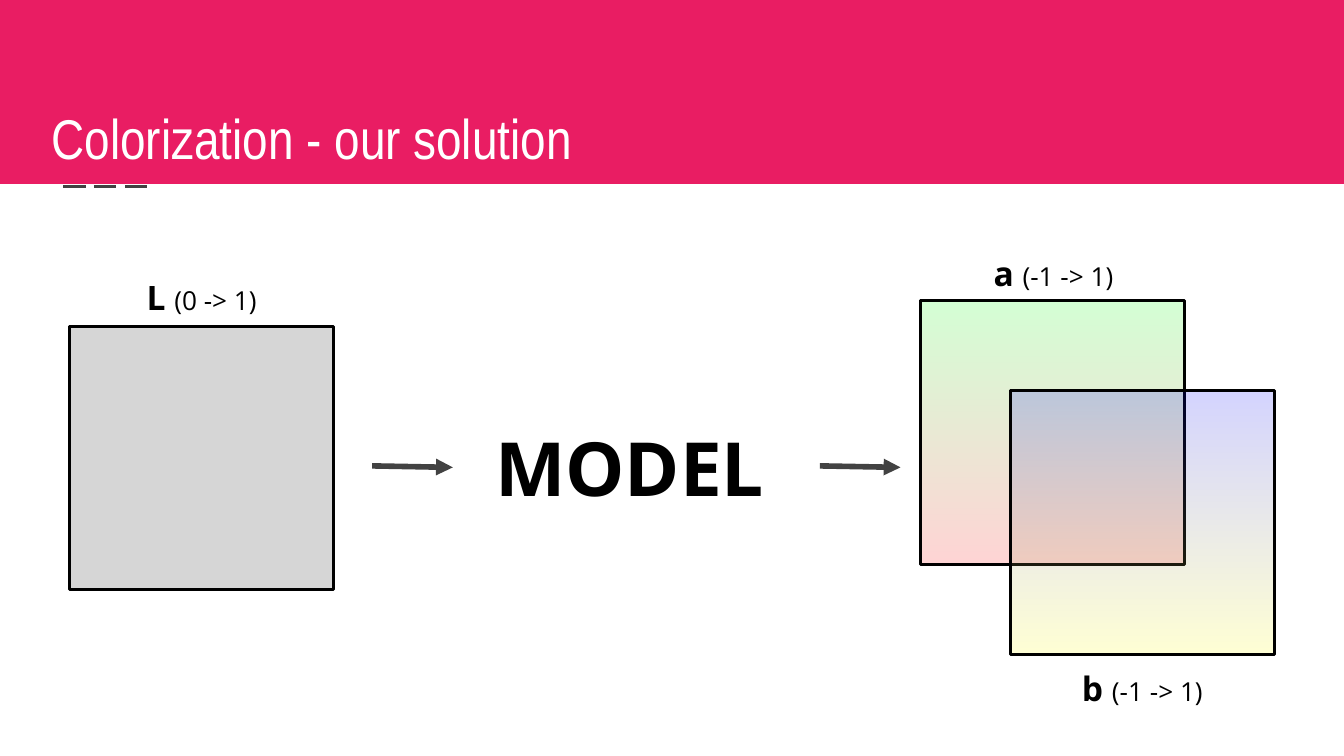
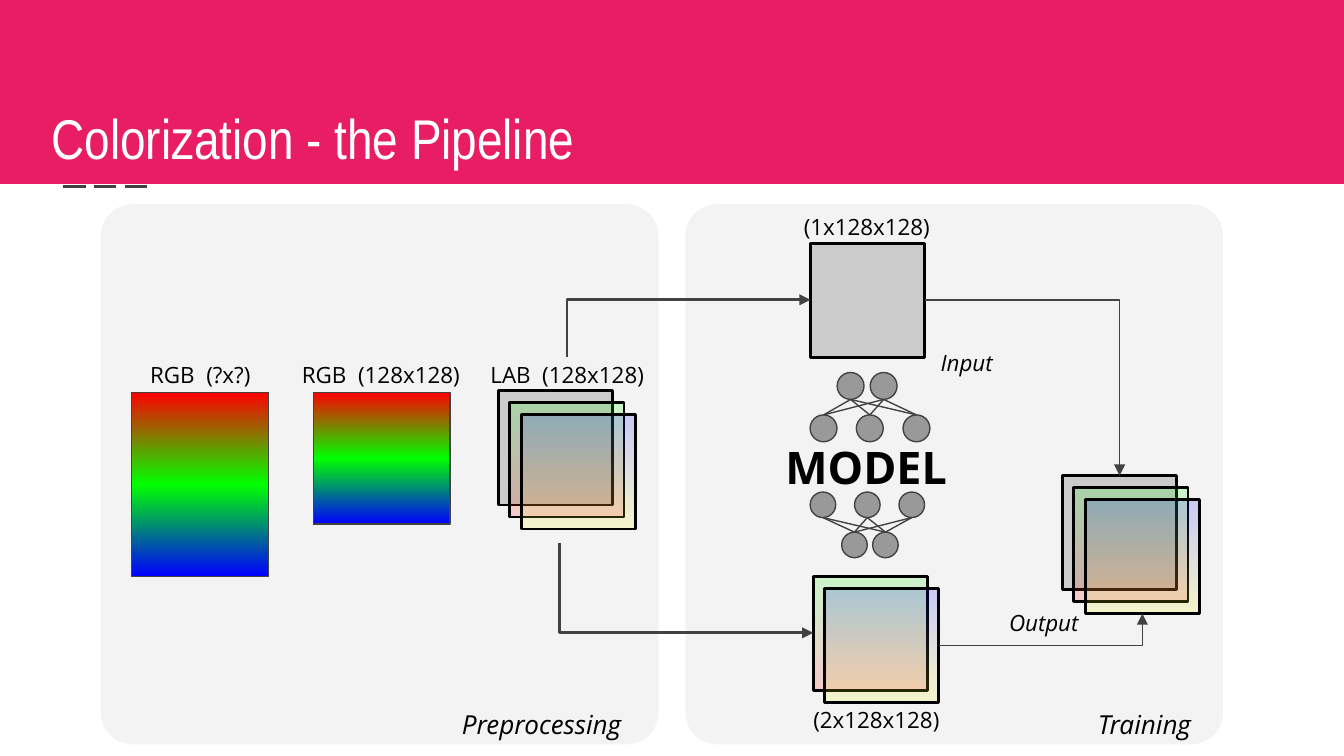
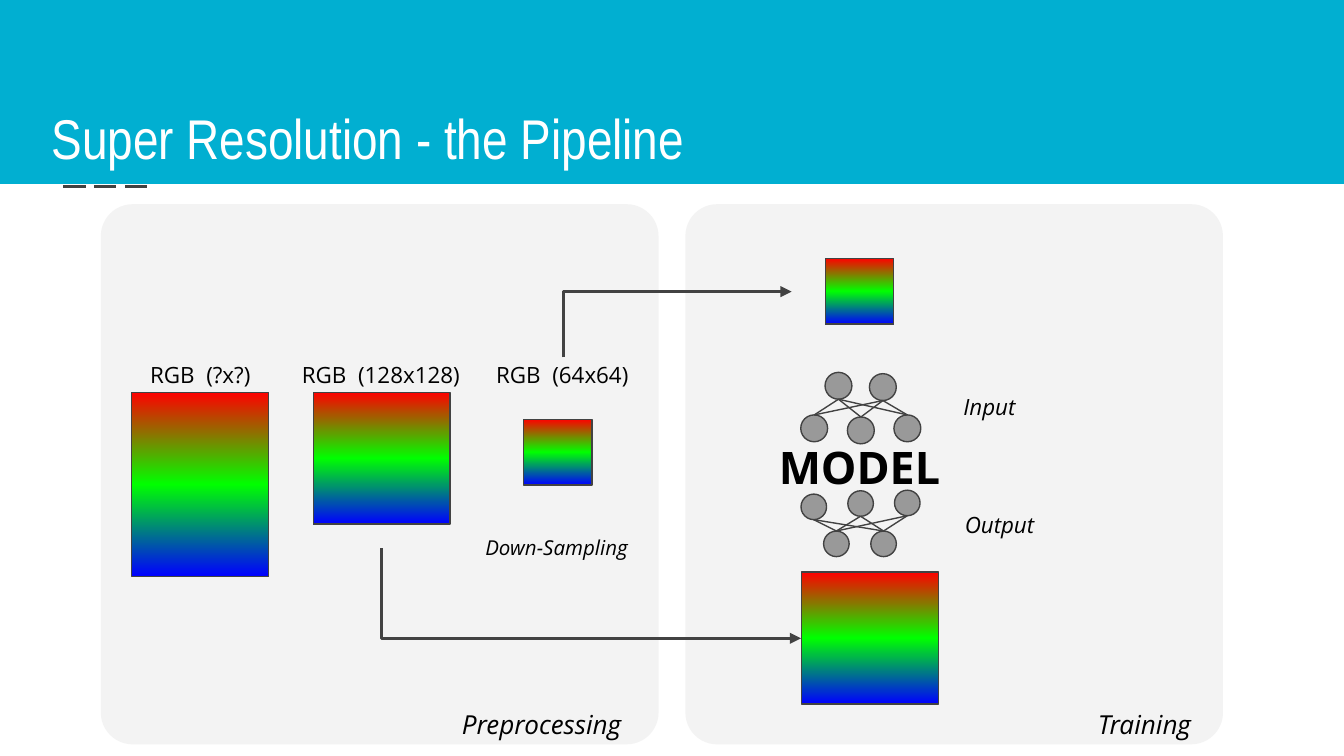
from itertools import product

from lxml import etree
from pptx import Presentation
from pptx.dml.color import RGBColor
from pptx.enum.dml import MSO_LINE
from pptx.enum.shapes import MSO_CONNECTOR, MSO_SHAPE
from pptx.enum.text import MSO_ANCHOR, MSO_AUTO_SIZE, PP_ALIGN
from pptx.oxml.ns import qn
from pptx.util import Pt

STRAIGHT, ELBOW = MSO_CONNECTOR.STRAIGHT, MSO_CONNECTOR.ELBOW
RECTANGLE, ROUNDED, OVAL = MSO_SHAPE.RECTANGLE, MSO_SHAPE.ROUNDED_RECTANGLE, MSO_SHAPE.OVAL
LEFT, CENTER, RIGHT = PP_ALIGN.LEFT, PP_ALIGN.CENTER, PP_ALIGN.RIGHT
TOP, MIDDLE, BOTTOM = MSO_ANCHOR.TOP, MSO_ANCHOR.MIDDLE, MSO_ANCHOR.BOTTOM
LONG_DASH, NO_AUTOFIT = MSO_LINE.LONG_DASH, MSO_AUTO_SIZE.NONE

PINK, BLUE, WHITE, BLACK = "E91D63", "01AFD1", "FFFFFF", "000000"
INK, NODE, PANEL = "424242", "999999", "F3F3F3"
TITLE_FONT, BODY_FONT = "Arial Narrow", "Open Sans"

RAINBOW = ["FF0000", "00FF00", "0000FF"]
CHANNELS = {"L": [BLACK], "a": ["00FF00", "FF0000"], "b": ["0000FF", "FFFF00"]}
CHANNEL_OPACITY = 16
CHANNEL_SIDE, CHANNEL_STEP = 61.2, (6.1, 6.4)

HEADING = dict(size=18, bold=True, anchor=TOP)
CAPTION = dict(size=12)
ROLE = dict(size=12, italic=True, align=LEFT)
STAGE = dict(size=14, italic=True, align=RIGHT)
MODEL = dict(size=24, bold=True)

PANELS = [(54, 109.4, 298.8, 289.4), (367.2, 109.4, 288, 289.4)]
SOURCE_IMAGE = (70.6, 210.2, 73.4, 98.6)
RESIZED_IMAGE = (167.8, 210.2, 73.4, 70.6)
PIPELINE_LABELS = [
    ("RGB  (?x?)", (70.6, 191.5, 73.4, 18), CAPTION),
    ("RGB  (128x128)", (152.6, 191.5, 103, 18), CAPTION),
    ("Training", (554.4, 376.6, 90.7, 22.3), STAGE),
    ("Preprocessing", (236.9, 376.6, 103, 22.3), STAGE),
]

SOLUTION = dict(
    title="Colorization - our solution",
    color=PINK,
    stacks=[
        ("L", 37.3, 174.8, 141.2, (0, 0)),
        ("ab", 493.2, 161.1, 141.2, (48.2, 48.2)),
    ],
    arrows=[(199.4, 249.6, 242.6, 250.4), (439.2, 249.6, 482.4, 250.4)],
    labels=[
        ("MODEL", (252.7, 222.5, 169.2, 54.7), dict(size=40, bold=True)),
        ("L ", (38.2, 141.1, 139.7, 33.1), dict(HEADING, note="(0 -> 1)")),
        ("a ", (494.6, 128.2, 139.7, 33.1), dict(HEADING, note="(-1 -> 1)")),
        ("b ", (542.2, 350.6, 139.7, 33.1), dict(HEADING, note="(-1 -> 1)")),
    ],
)

COLORIZATION = dict(
    title="Colorization - the Pipeline",
    color=PINK,
    panels=PANELS,
    images=[SOURCE_IMAGE, RESIZED_IMAGE],
    stacks=[
        ("Lab", 267, 209.4, CHANNEL_SIDE, CHANNEL_STEP),
        ("L", 434.2, 130.3, CHANNEL_SIDE, CHANNEL_STEP),
        ("ab", 435.6, 308.8, CHANNEL_SIDE, CHANNEL_STEP),
        ("Lab", 569.2, 254.8, CHANNEL_SIDE, CHANNEL_STEP),
    ],
    networks=[
        (14.4, [(448.5, 199.6), (466.2, 199.6)],
         [(434, 222.3), (458.8, 222.3), (483.8, 222.3)]),
        (13.7, [(434, 263.6), (457.8, 263.6), (481.6, 263.6)],
         [(450.9, 285.1), (467.5, 285.1)]),
    ],
    risers=[(303.8, 191.5, 434.2, 160.6), (299.5, 290.9, 435.6, 339.1)],
    returns=[(502.9, 345.8, 612, 328.8), (495.4, 160.8, 599.8, 254.8)],
    labels=PIPELINE_LABELS + [
        ("LAB  (128x128)", (254.2, 191.5, 99.4, 18), CAPTION),
        ("MODEL", (409.7, 239, 108.7, 22.3), MODEL),
        ("(1x128x128)", (414.7, 112.3, 99.4, 18), CAPTION),
        ("(2x128x128)", (419.8, 376.6, 99.4, 18), CAPTION),
        ("Input", (496.8, 183.2, 90.7, 22.3), ROLE),
        ("Output", (533.5, 322.2, 90.7, 22.3), ROLE),
    ],
)

SUPER_RESOLUTION = dict(
    title="Super Resolution - the Pipeline",
    color=BLUE,
    panels=PANELS,
    images=[
        SOURCE_IMAGE,
        RESIZED_IMAGE,
        (280.5, 224.6, 36.7, 35.3),
        (429.3, 306.5, 73.4, 70.6),
        (442.1, 138.4, 36.7, 35.3),
    ],
    networks=[
        (14.4, [(442, 199.5), (465.8, 200.2)],
         [(429, 222.3), (454, 223.4), (478.9, 222.3)]),
        (13.7, [(429.1, 264.7), (454.2, 262.9), (479.2, 262.6)],
         [(441.2, 284.5), (466.5, 284.5)]),
    ],
    risers=[(301.7, 191.5, 424.1, 156.2), (204.5, 293.8, 429.1, 342)],
    labels=PIPELINE_LABELS + [
        ("RGB  (64x64)", (249.8, 191.5, 103, 18), CAPTION),
        ("MODEL", (406.1, 239, 108.7, 22.3), MODEL),
        ("Input", (509, 206.8, 90.7, 22.3), ROLE),
        ("Output", (509.8, 270, 90.7, 22.3), ROLE),
        ("Down-Sampling", (241.9, 282.2, 101.5, 22.3), dict(size=11, italic=True, align=RIGHT)),
    ],
)


def rgb(value):
    return RGBColor.from_string(value)


def points(values):
    return [Pt(value) for value in values]


def write_text(frame, text, size=12, font=BODY_FONT, color=BLACK, bold=False,
               italic=False, align=CENTER, anchor=MIDDLE, left_inset=7.2, note=""):
    frame.word_wrap = True
    frame.auto_size = NO_AUTOFIT
    frame.vertical_anchor = anchor
    frame.margin_left = Pt(left_inset)
    frame.margin_top = frame.margin_right = frame.margin_bottom = Pt(7.2)
    para = frame.paragraphs[0]
    para.alignment = align
    for content, points_high, heavy in [(text, size, bold), (note, 14, False)]:
        if content:
            span = para.add_run()
            span.text = content
            span.font.name = font
            span.font.size = Pt(points_high)
            span.font.bold = heavy
            span.font.italic = italic
            span.font.color.rgb = rgb(color)


def fill_shape(shape, colors, opacity=100):
    if len(colors) == 1:
        shape.fill.solid()
        shape.fill.fore_color.rgb = rgb(colors[0])
    else:
        shape.fill.gradient()
        shape.fill.gradient_angle = 270
        stops = shape._element.spPr.find(".//" + qn("a:gsLst"))
        for stop in list(stops):
            stops.remove(stop)
        for index, color in enumerate(colors):
            position = 100000 * index // (len(colors) - 1)
            stop = etree.SubElement(stops, qn("a:gs"), pos=str(position))
            etree.SubElement(stop, qn("a:srgbClr"), val=color)
    if opacity < 100:
        fill = shape._element.spPr.find(qn("a:solidFill"))
        if fill is None:
            fill = shape._element.spPr.find(qn("a:gradFill"))
        for tint in fill.iter(qn("a:srgbClr")):
            etree.SubElement(tint, qn("a:alpha"), val=str(opacity * 1000))


def add_box(page, kind, box, colors, opacity=100, line=None, width=0.75):
    shape = page.shapes.add_shape(kind, *points(box))
    shape.shadow.inherit = False
    fill_shape(shape, colors, opacity)
    if line:
        shape.line.color.rgb = rgb(line)
        shape.line.width = Pt(width)
    else:
        shape.line.fill.background()
    return shape


def add_line(page, ends, kind=STRAIGHT, width=0.75, arrow=False, dash=None):
    connector = page.shapes.add_connector(kind, *points(ends))
    connector.line.color.rgb = rgb(INK)
    connector.line.width = Pt(width)
    if dash:
        connector.line.dash_style = dash
    properties = connector._element.spPr
    if arrow:
        etree.SubElement(properties.find(qn("a:ln")), qn("a:tailEnd"), type="triangle")
    if kind == ELBOW:
        properties.find(qn("a:prstGeom")).set("prst", "bentConnector2")
    etree.SubElement(properties, qn("a:effectLst"))
    return connector


def add_riser(page, ends):
    x1, y1, x2, y2 = ends
    across, along = x2 - x1, abs(y2 - y1)
    left = (x1 + x2 - along) / 2
    top = (y1 + y2 - across) / 2
    turned = (left, top, left + along, top + across)
    connector = add_line(page, turned, kind=ELBOW, width=1.5, arrow=True)
    frame = connector._element.spPr.find(qn("a:xfrm"))
    frame.set("rot", "16200000")
    if y2 > y1:
        frame.set("flipH", "1")


def add_stack(page, names, left, top, side, step):
    for index, name in enumerate(names):
        box = (left + index * step[0], top + index * step[1], side, side)
        add_box(page, RECTANGLE, box, CHANNELS[name], CHANNEL_OPACITY, line=BLACK, width=1.5)


def add_network(page, size, upper, lower):
    for left, top in upper + lower:
        add_box(page, OVAL, (left, top, size, size), [NODE], line=INK)
    for (x1, y1), (x2, y2) in product(upper, lower):
        add_line(page, (x1 + size / 2, y1 + size, x2 + size / 2, y2))


def add_title(page, text, color):
    title = page.shapes.title
    title.left, title.top, title.width, title.height = points((0, 0, 720, 98.6))
    fill_shape(title, [color])
    write_text(title.text_frame, text, size=30, font=TITLE_FONT, color=WHITE,
               align=LEFT, anchor=BOTTOM, left_inset=27.7)


def build_page(deck, layout, content):
    page = deck.slides.add_slide(layout)
    add_title(page, content["title"], content["color"])
    for box in content.get("panels", []):
        add_box(page, ROUNDED, box, [PANEL]).adjustments[0] = 0.059
    for box in content.get("images", []):
        add_box(page, RECTANGLE, box, RAINBOW, line=INK)
    for stack in content.get("stacks", []):
        add_stack(page, *stack)
    for network in content.get("networks", []):
        add_network(page, *network)
    for ends in content.get("arrows", []):
        add_line(page, ends, width=3, arrow=True)
    for ends in content.get("risers", []):
        add_riser(page, ends)
    for ends in content.get("returns", []):
        add_line(page, ends, kind=ELBOW, arrow=True)
    for text, box, style in content["labels"]:
        label = page.shapes.add_textbox(*points(box))
        write_text(label.text_frame, text, **style)
    return page


def main():
    deck = Presentation()
    deck.slide_width, deck.slide_height = Pt(720), Pt(405)
    layout = deck.slide_layouts[5]
    pages = [build_page(deck, layout, content)
             for content in (SOLUTION, COLORIZATION, SUPER_RESOLUTION)]
    rule = add_line(pages[0], (33.8, 100.1, 82.1, 100.1), width=1.5, dash=LONG_DASH)
    layout.shapes._spTree.append(rule._element)
    deck.save("out.pptx")


if __name__ == "__main__":
    main()
